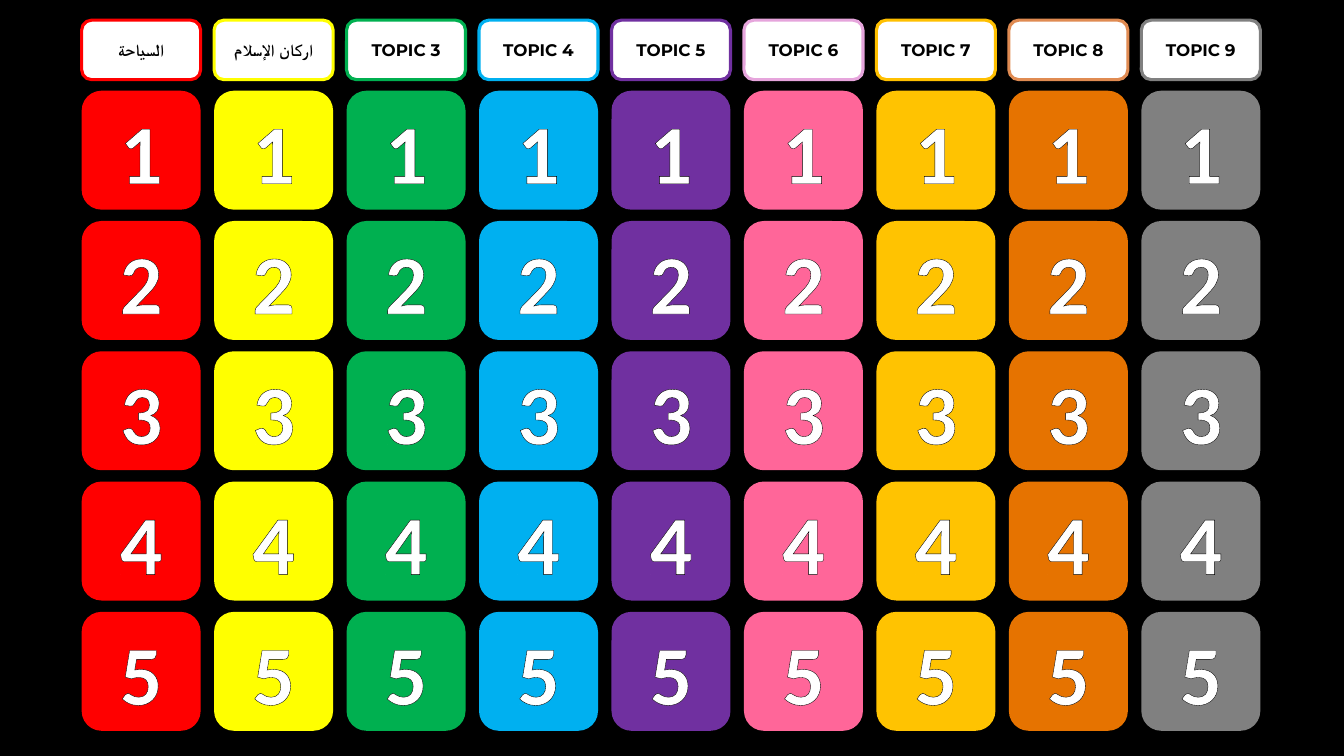
from dataclasses import dataclass

from lxml.etree import SubElement
from pptx import Presentation
from pptx.dml.color import RGBColor
from pptx.enum.shapes import MSO_SHAPE
from pptx.enum.text import MSO_ANCHOR, PP_ALIGN
from pptx.oxml import parse_xml
from pptx.oxml.ns import nsdecls, qn
from pptx.shapes.autoshape import Shape
from pptx.slide import Slide
from pptx.text.text import _Run
from pptx.util import Inches, Pt


@dataclass(frozen=True)
class Theme:
    background: str = "000000"
    white: str = "FFFFFF"
    black: str = "000000"
    number_font: str = "Calibri"
    topic_font: str = "Montserrat"
    number_size: float = 60
    topic_size: float = 12
    outline_width: float = 2.25


@dataclass(frozen=True)
class Topic:
    title: str
    fill: str
    border: str
    right_to_left: bool = False


THEME = Theme()
TOPICS = [
    Topic("السياحة", "FF0000", "FF0000", right_to_left=True),
    Topic("اركان الإسلام", "FFFF00", "FFFF00", right_to_left=True),
    Topic("TOPIC 3", "00B050", "00B050"),
    Topic("TOPIC 4", "00B0F0", "00B0F0"),
    Topic("TOPIC 5", "7030A0", "7030A0"),
    Topic("TOPIC 6", "FF6699", "E6A5DC"),
    Topic("TOPIC 7", "FFC301", "FFC000"),
    Topic("TOPIC 8", "E67300", "E08B52"),
    Topic("TOPIC 9", "808080", "808080"),
]
ROWS = 5
LEFT, RIGHT = 0.81, 12.5
TOP, BOTTOM = 0.9, 7.25
TILE = 1.18
HEADER_TOP, HEADER_HEIGHT = 0.2, 0.59
COLUMN_PITCH = (RIGHT - LEFT - TILE) / (len(TOPICS) - 1)
ROW_PITCH = (BOTTOM - TOP - TILE) / (ROWS - 1)


def add_soft_shadow(shape: Shape) -> None:
    shape.shadow.inherit = False
    effects = shape._element.spPr.find(qn("a:effectLst"))
    shadow = SubElement(
        effects, qn("a:outerShdw"), blurRad=str(Pt(3.5)), dist=str(Pt(2.2)),
        dir="5400000", algn="t", rotWithShape="0",
    )
    color = SubElement(shadow, qn("a:srgbClr"), val=THEME.black)
    SubElement(color, qn("a:alpha"), val="32000")


def add_card(slide: Slide, left: float, top: float, height: float, fill: str) -> Shape:
    """Add a borderless rounded card, one tile wide."""
    card = slide.shapes.add_shape(
        MSO_SHAPE.ROUNDED_RECTANGLE,
        Inches(left), Inches(top), Inches(TILE), Inches(height),
    )
    card.fill.solid()
    card.fill.fore_color.rgb = RGBColor.from_string(fill)
    card.line.fill.background()
    add_soft_shadow(card)
    return card


def add_label(card: Shape, text: str, font: str, size: float, color: str) -> _Run:
    """Centre one bold run in the card."""
    frame = card.text_frame
    frame.word_wrap = True
    frame.vertical_anchor = MSO_ANCHOR.MIDDLE
    paragraph = frame.paragraphs[0]
    paragraph.alignment = PP_ALIGN.CENTER
    run = paragraph.add_run()
    run.text = text
    run.font.name = font
    run.font.size = Pt(size)
    run.font.bold = True
    run.font.color.rgb = RGBColor.from_string(color)
    return run


def outline_text(run: _Run) -> None:
    outline = parse_xml(
        f'<a:ln {nsdecls("a")} w="{Pt(THEME.outline_width)}"><a:solidFill>'
        f'<a:srgbClr val="{THEME.black}"/></a:solidFill></a:ln>'
    )
    run._r.get_or_add_rPr().insert(0, outline)


def add_number_tile(slide: Slide, left: float, row: int, fill: str) -> None:
    tile = add_card(slide, left, TOP + row * ROW_PITCH, TILE, fill)
    number = add_label(
        tile, str(row + 1), THEME.number_font, THEME.number_size, THEME.white
    )
    outline_text(number)


def add_topic_header(slide: Slide, left: float, topic: Topic) -> None:
    header = add_card(slide, left, HEADER_TOP, HEADER_HEIGHT, THEME.white)
    header.line.color.rgb = RGBColor.from_string(topic.border)
    header.line.width = Pt(THEME.outline_width)
    add_label(header, topic.title, THEME.topic_font, THEME.topic_size, THEME.black)
    if topic.right_to_left:
        header.text_frame.paragraphs[0]._p.get_or_add_pPr().set("rtl", "1")


def main() -> None:
    presentation = Presentation()
    presentation.slide_width = Inches(13.33)
    presentation.slide_height = Inches(7.5)
    slide = presentation.slides.add_slide(presentation.slide_layouts[6])
    slide.background.fill.solid()
    slide.background.fill.fore_color.rgb = RGBColor.from_string(THEME.background)

    for column, topic in enumerate(TOPICS):
        left = LEFT + column * COLUMN_PITCH
        add_topic_header(slide, left, topic)
        for row in range(ROWS):
            add_number_tile(slide, left, row, topic.fill)

    presentation.save("out.pptx")


if __name__ == "__main__":
    main()
